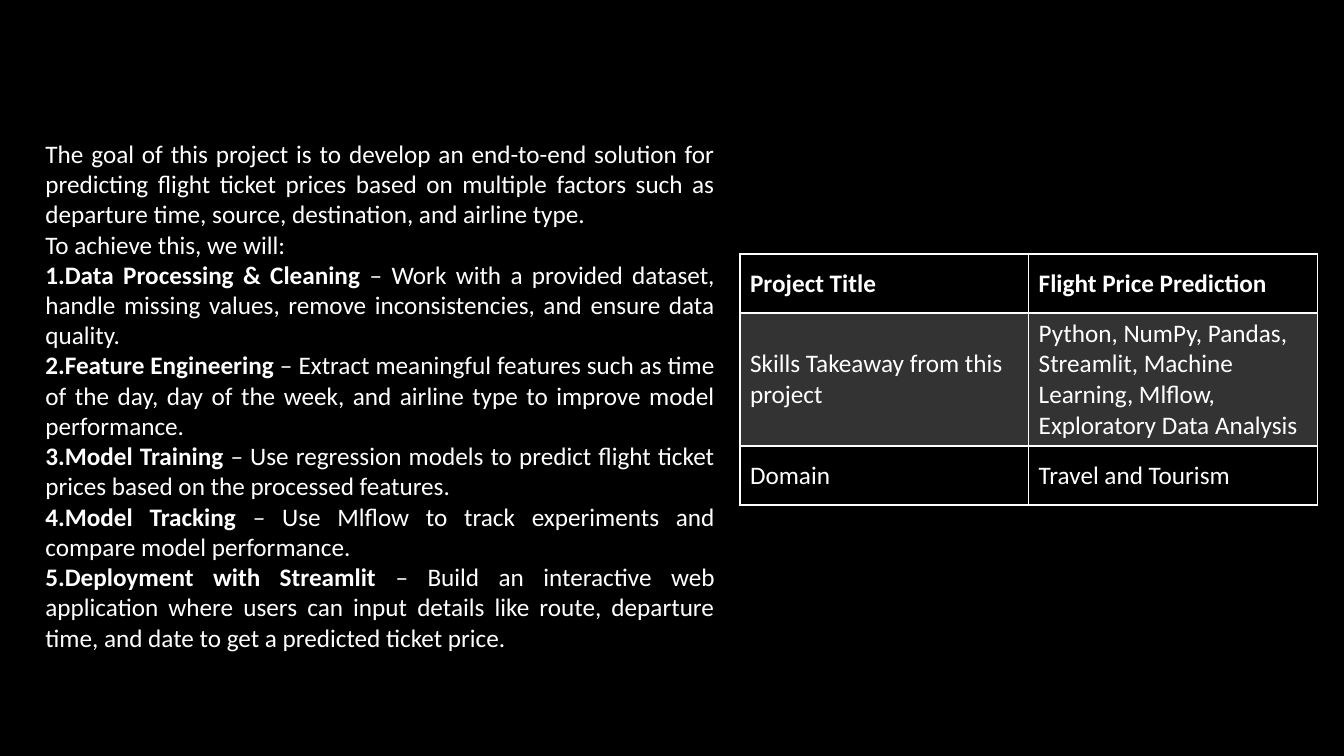
from lxml.etree import SubElement
from pptx import Presentation
from pptx.dml.color import RGBColor
from pptx.enum.text import MSO_ANCHOR as Anchor, MSO_AUTO_SIZE as AutoSize, PP_ALIGN as Align
from pptx.oxml.ns import qn
from pptx.util import Inches, Pt

WIDTH, HEIGHT = 13.33, 7.5

INTRO = [
    ("The goal of this project is to develop an end-to-end solution for predicting flight ticket "
     "prices based on multiple factors such as departure time, source, destination, and airline type.",
     Align.JUSTIFY),
    ("To achieve this, we will:", Align.LEFT),
]
STEPS = [
    ("Data Processing & Cleaning",
     "Work with a provided dataset, handle missing values, remove inconsistencies, and ensure data quality."),
    ("Feature Engineering",
     "Extract meaningful features such as time of the day, day of the week, and airline type "
     "to improve model performance."),
    ("Model Training",
     "Use regression models to predict flight ticket prices based on the processed features."),
    ("Model Tracking", "Use Mlflow to track experiments and compare model performance."),
    ("Deployment with Streamlit",
     "Build an interactive web application where users can input details like route, departure time, "
     "and date to get a predicted ticket price."),
]
FACTS = [
    ("Project Title", "Flight Price Prediction"),
    ("Skills Takeaway from this project",
     "Python, NumPy, Pandas, Streamlit, Machine Learning, Mlflow, Exploratory Data Analysis"),
    ("Domain", "Travel and Tourism"),
]


def color(hex_code):
    return RGBColor.from_string(hex_code)


class Deck:
    """Holds the style and the current slide; places are percentages of the slide."""
    font, size, ink, ground = "Calibri", 18, "FFFFFF", "000000"

    def __init__(self):
        self.prs = Presentation()
        self.prs.slide_width, self.prs.slide_height = Inches(WIDTH), Inches(HEIGHT)
        self.slide = self.prs.slides.add_slide(self.prs.slide_layouts[1])
        fill = self.slide.background.fill
        fill.solid()
        fill.fore_color.rgb = color(self.ground)

    def box(self, left, top, width, height):
        return (Inches(WIDTH * left / 100), Inches(HEIGHT * top / 100),
                Inches(WIDTH * width / 100), Inches(HEIGHT * height / 100))

    def run(self, p, text, bold=False):
        r = p.add_run()
        r.text = text
        r.font.name, r.font.size, r.font.bold = self.font, Pt(self.size), bold
        r.font.color.rgb = color(self.ink)

    def paragraph(self, tf, first, align, numbered, runs):
        p = tf.paragraphs[0] if first else tf.add_paragraph()
        p.alignment, p.space_before, p.space_after = align, Pt(0), Pt(0)
        pPr = p._p.get_or_add_pPr()
        pPr.set("marL", "0")
        pPr.set("indent", "0")
        if numbered:
            SubElement(pPr, qn("a:buFont"), typeface="+mj-lt")
            SubElement(pPr, qn("a:buAutoNum"), type="arabicPeriod")
        else:
            SubElement(pPr, qn("a:buNone"))
        for text, bold in runs:
            self.run(p, text, bold)

    def body(self, place, intro, steps):
        sp = self.slide.placeholders[1]
        sp.left, sp.top, sp.width, sp.height = self.box(*place)
        tf = sp.text_frame
        tf.word_wrap, tf.auto_size, tf.vertical_anchor = True, AutoSize.SHAPE_TO_FIT_TEXT, Anchor.TOP
        for i, (text, align) in enumerate(intro):
            self.paragraph(tf, i == 0, align, False, [(text, False)])
        for name, detail in steps:
            self.paragraph(tf, False, Align.JUSTIFY, True, [(name, True), (f" – {detail}", False)])

    def borders(self, cell, widths):
        tcPr = cell._tc.get_or_add_tcPr()
        for side, width in zip("LRTB", widths):
            ln = SubElement(tcPr, qn(f"a:ln{side}"), w=str(Pt(width)))
            SubElement(SubElement(ln, qn("a:solidFill")), qn("a:srgbClr"), val=self.ink)

    def shade(self, cell, percent):
        cell.fill.solid()
        cell.fill.fore_color.rgb = color(self.ink)
        clr = cell._tc.tcPr.find(f"{qn('a:solidFill')}/{qn('a:srgbClr')}")
        SubElement(clr, qn("a:alpha"), val=str(percent * 1000))

    def table(self, place, rows, heights):
        table = self.slide.shapes.add_table(len(rows), len(rows[0]), *self.box(*place)).table
        table.horz_banding = False
        for i, (texts, height) in enumerate(zip(rows, heights)):
            table.rows[i].height = Inches(HEIGHT * height / 100)
            for j, text in enumerate(texts):
                cell = table.cell(i, j)
                cell.vertical_anchor = Anchor.MIDDLE
                self.run(cell.text_frame.paragraphs[0], text, bold=i == 0)
                # A heavier rule separates the header
                self.borders(cell, (1, 1, 2 if i == 1 else 1, 2 if i == 0 else 1))
                if i % 2:
                    self.shade(cell, 20)
                else:
                    cell.fill.background()


def main():
    deck = Deck()

    # The slide has no title
    title = deck.slide.shapes.title._element
    title.getparent().remove(title)

    # Project facts
    deck.table((55.06, 33.6, 42.96, 32.93), FACTS, (7.8, 17.6, 7.8))

    # Goal and numbered steps
    deck.body((2.63, 17.6, 51.31, 70), INTRO, STEPS)

    deck.prs.save("out.pptx")


if __name__ == "__main__":
    main()
